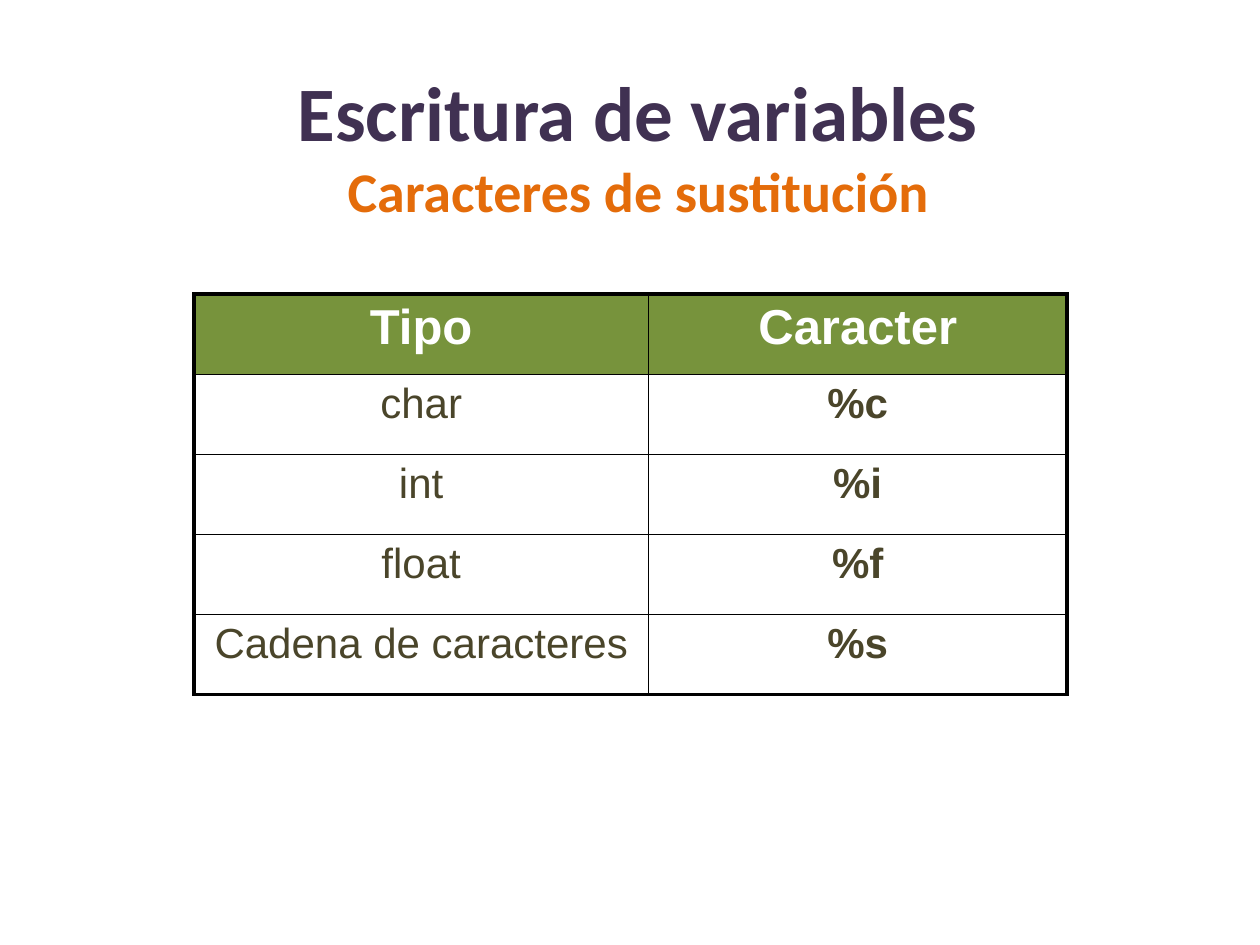
from dataclasses import dataclass

from lxml.etree import SubElement
from pptx import Presentation
from pptx.dml.color import RGBColor
from pptx.enum.text import MSO_ANCHOR, MSO_AUTO_SIZE, PP_ALIGN
from pptx.oxml.ns import qn
from pptx.util import Cm, Pt


@dataclass(frozen=True)
class Theme:
    title_font: str = "Calibri"
    table_font: str = "Arial"
    title_color: str = "403152"
    subtitle_color: str = "E46C0A"
    header_fill: str = "77933C"
    header_color: str = "FFFFFF"
    body_color: str = "4A452A"
    border_color: str = "000000"
    title_size: float = 44
    subtitle_size: float = 32
    header_size: float = 28
    body_size: float = 24
    outer_border: float = 2.25
    inner_border: float = 1


theme = Theme()


def format_paragraph(paragraph, font_name, size, color, bold):
    paragraph.alignment = PP_ALIGN.CENTER
    for run in paragraph.runs:
        run.font.name = font_name
        run.font.size = Pt(size)
        run.font.bold = bold
        run.font.color.rgb = RGBColor.from_string(color)


def add_border(cell, side, width):
    line = SubElement(cell._tc.get_or_add_tcPr(), qn(f"a:ln{side}"), w=str(Pt(width)))
    fill = SubElement(line, qn("a:solidFill"))
    SubElement(fill, qn("a:srgbClr"), val=theme.border_color)


presentation = Presentation()
presentation.slide_width = Cm(25.4)
presentation.slide_height = Cm(19.05)
slide = presentation.slides.add_slide(presentation.slide_layouts[5])

# Title and subtitle
title = slide.shapes.title
title.left, title.top, title.width, title.height = Cm(1.3), Cm(1.32), Cm(23.14), Cm(3.18)
text_frame = title.text_frame
text_frame.text = "Escritura de variables\nCaracteres de sustitución"
text_frame.word_wrap = True
text_frame.auto_size = MSO_AUTO_SIZE.NONE
text_frame.vertical_anchor = MSO_ANCHOR.MIDDLE
heading, subtitle = text_frame.paragraphs
format_paragraph(heading, theme.title_font, theme.title_size, theme.title_color, True)
format_paragraph(subtitle, theme.title_font, theme.subtitle_size, theme.subtitle_color, True)

# Table of types and their substitution characters
rows = [
    ("Tipo", "Caracter"),
    ("char", "%c"),
    ("int", "%i"),
    ("float", "%f"),
    ("Cadena de caracteres", "%s"),
]
column_widths = [Cm(9.16), Cm(8.44)]
row_height = Cm(1.615)
last_row, last_column = len(rows) - 1, len(column_widths) - 1
table = slide.shapes.add_table(
    len(rows), len(column_widths), Cm(3.91), Cm(5.93), sum(column_widths), row_height * len(rows)
).table
table.horz_banding = False
for column, width in zip(table.columns, column_widths):
    column.width = width

for row_index, row in enumerate(rows):
    table.rows[row_index].height = row_height
    for column_index, text in enumerate(row):
        cell = table.cell(row_index, column_index)
        is_header = row_index == 0
        cell.text_frame.text = text
        format_paragraph(
            cell.text_frame.paragraphs[0],
            theme.table_font,
            theme.header_size if is_header else theme.body_size,
            theme.header_color if is_header else theme.body_color,
            is_header or column_index == last_column,
        )

        # Thick lines around the table, thin lines inside
        outer_sides = {
            "L": column_index == 0,
            "R": column_index == last_column,
            "T": is_header,
            "B": row_index == last_row,
        }
        for side, is_outer in outer_sides.items():
            add_border(cell, side, theme.outer_border if is_outer else theme.inner_border)

        if is_header:
            cell.fill.solid()
            cell.fill.fore_color.rgb = RGBColor.from_string(theme.header_fill)
        else:
            cell.fill.background()

presentation.save("out.pptx")
